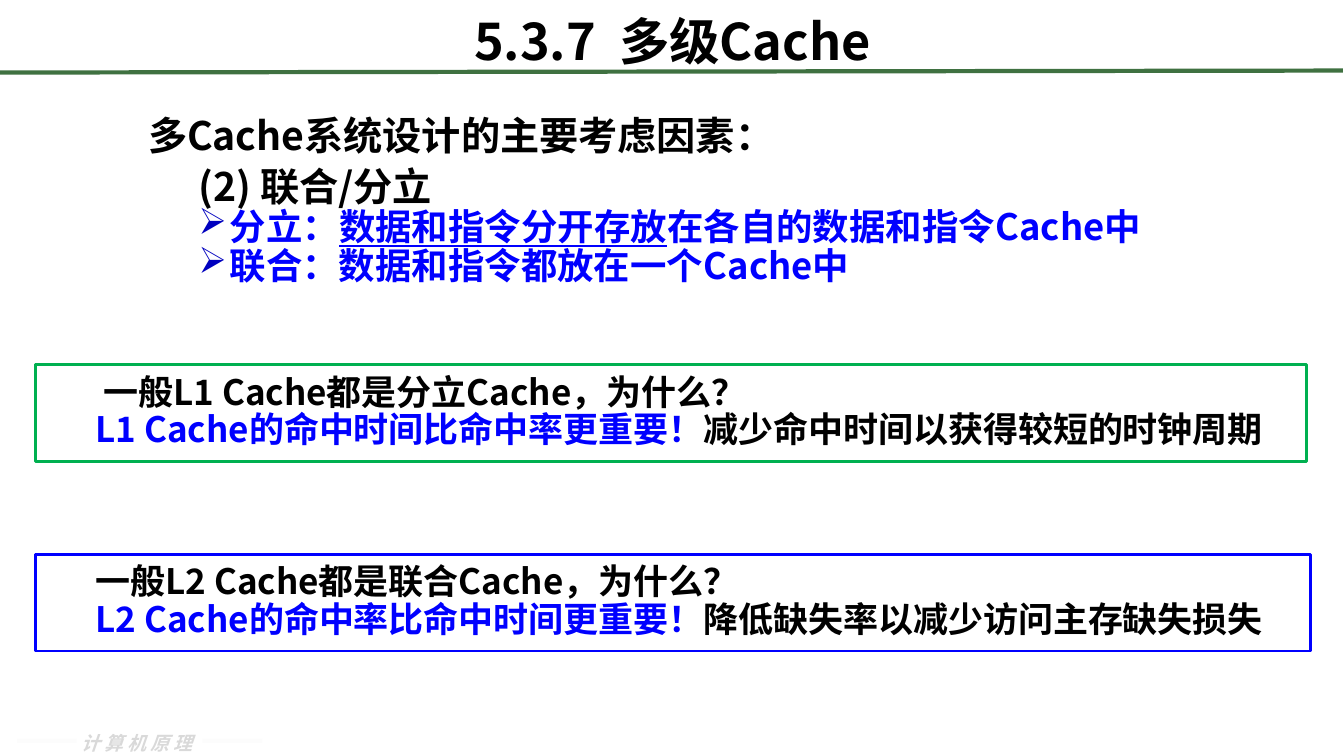
"""Build the multi-level cache slide."""
from lxml import etree
from pptx import Presentation
from pptx.dml.color import RGBColor
from pptx.enum.shapes import MSO_CONNECTOR, MSO_SHAPE
from pptx.enum.text import MSO_ANCHOR, PP_ALIGN
from pptx.oxml.ns import qn
from pptx.util import Inches, Pt

RECT, STRAIGHT = MSO_SHAPE.RECTANGLE, MSO_CONNECTOR.STRAIGHT
TOP, MIDDLE = MSO_ANCHOR.TOP, MSO_ANCHOR.MIDDLE
LEFT, CENTER = PP_ALIGN.LEFT, PP_ALIGN.CENTER

FONT = "Noto Sans CJK SC"
COLORS = {"black": "000000", "blue": "0000FF", "bullet": "0000BF", "green": "00B050",
          "rule": "3F7141", "white": "FFFFFF", "footer": "D9D9D9", "dash": "FCFCFC"}
BLACK, BLUE = {"color": "black"}, {"color": "blue"}

TITLE = [{"runs": [("5.3.7  多级Cache", BLACK)], "size": 36, "align": CENTER, "line": 1}]
FOOTER = [{"runs": [("计算机原理", {"color": "footer", "italic": True, "spc": 300})],
           "size": 13.5, "line": 1}]
POINT = {"size": 26, "margin": 0.81, "indent": -0.31, "bullet": "➢"}
BODY = [
    {"runs": [("多Cache系统设计的主要考虑因素：", BLACK)], "size": 28, "after": 6},
    {"runs": [("(2) 联合/分立", BLACK)], "size": 28, "margin": 0.81, "indent": -0.31},
    {"runs": [("分立：", BLUE), ("数据和指令分开存放", {**BLUE, "underline": True}),
              ("在各自的数据和指令Cache中", BLUE)], **POINT},
    {"runs": [("联合：数据和指令都放在一个Cache中", BLUE)], **POINT},
]
TEXTS = [
    ((0.71, 7.21, 1.46, 0.34), FOOTER, TOP),
    ((0.67, -0.03, 12, 0.85), TITLE, MIDDLE),
    ((1.37, 1.13, 11.48, 4.09), BODY, TOP),
]
QUESTIONS = [
    ((0.35, 3.62, 12.61, 0.96), "green", " 一般L1 Cache都是分立Cache，为什么？",
     "L1 Cache的命中时间比命中率更重要！", "减少命中时间以获得较短的时钟周期"),
    ((0.35, 5.5, 12.65, 0.96), "blue", "一般L2 Cache都是联合Cache，为什么？",
     "L2 Cache的命中率比命中时间更重要！", "降低缺失率以减少访问主存缺失损失"),
]
DASHES = [(0.17, 7.33, 0.59, 0.04), (2.01, 7.33, 0.59, 0.04)]
RULE = (0, 0.72, 13.32, 0.7)


def rgb(name):
    return RGBColor.from_string(COLORS[name])


def add_run(p, text, size, fmt):
    r = p.add_run()
    r.text = text
    style = {"name": FONT, "size": Pt(size), "bold": True,
             "italic": fmt.get("italic", False), "underline": fmt.get("underline", False)}
    for key, value in style.items():
        setattr(r.font, key, value)
    r.font.color.rgb = rgb(fmt["color"])
    rPr = r.font._element
    rPr.find(qn("a:latin")).addnext(etree.Element(qn("a:ea"), typeface=FONT))
    if "spc" in fmt:
        rPr.set("spc", str(fmt["spc"]))


def write(sp, paragraphs, anchor):
    tf = sp.text_frame
    tf.word_wrap = True
    tf.vertical_anchor = anchor
    for i, para in enumerate(paragraphs):
        p = tf.paragraphs[0] if i == 0 else tf.add_paragraph()
        size = para["size"]
        layout = {"alignment": para.get("align", LEFT), "line_spacing": para.get("line", 0.85),
                  "space_before": Pt(size * 0.05), "space_after": Pt(para.get("after", 0))}
        for key, value in layout.items():
            setattr(p, key, value)
        pPr = p._p.get_or_add_pPr()
        pPr.set("marL", str(Inches(para.get("margin", 0))))
        pPr.set("indent", str(Inches(para.get("indent", 0))))
        if "bullet" in para:
            clr = etree.SubElement(pPr, qn("a:buClr"))
            etree.SubElement(clr, qn("a:srgbClr"), val=COLORS["bullet"])
            etree.SubElement(pPr, qn("a:buChar"), char=para["bullet"])
        for text, fmt in para["runs"]:
            add_run(p, text, size, fmt)


def add_rect(s, box, fill, line=None):
    sp = s.shapes.add_shape(RECT, *map(Inches, box))
    sp.shadow.inherit = False
    sp.fill.solid()
    sp.fill.fore_color.rgb = rgb(fill)
    if line:
        sp.line.color.rgb = rgb(line)
        sp.line.width = Pt(2)
    else:
        sp.line.fill.background()
    return sp


def main():
    prs = Presentation()
    prs.slide_width, prs.slide_height = Inches(13.33), Inches(7.5)
    s = prs.slides.add_slide(prs.slide_layouts[6])
    for box in DASHES:
        add_rect(s, box, "dash")
    rule = s.shapes.add_connector(STRAIGHT, *map(Inches, RULE))
    rule.line.color.rgb = rgb("rule")
    rule.line.width = Pt(3)
    etree.SubElement(rule._element.spPr, qn("a:effectLst"))
    for box, paragraphs, anchor in TEXTS:
        write(s.shapes.add_textbox(*map(Inches, box)), paragraphs, anchor)
    for box, line, question, answer, reason in QUESTIONS:
        rows = [[(question, BLACK)], [(answer, BLUE), (reason, BLACK)]]
        paragraphs = [{"runs": runs, "size": 25, "margin": 0.5} for runs in rows]
        write(add_rect(s, box, "white", line), paragraphs, MIDDLE)
    prs.save("out.pptx")


if __name__ == "__main__":
    main()
